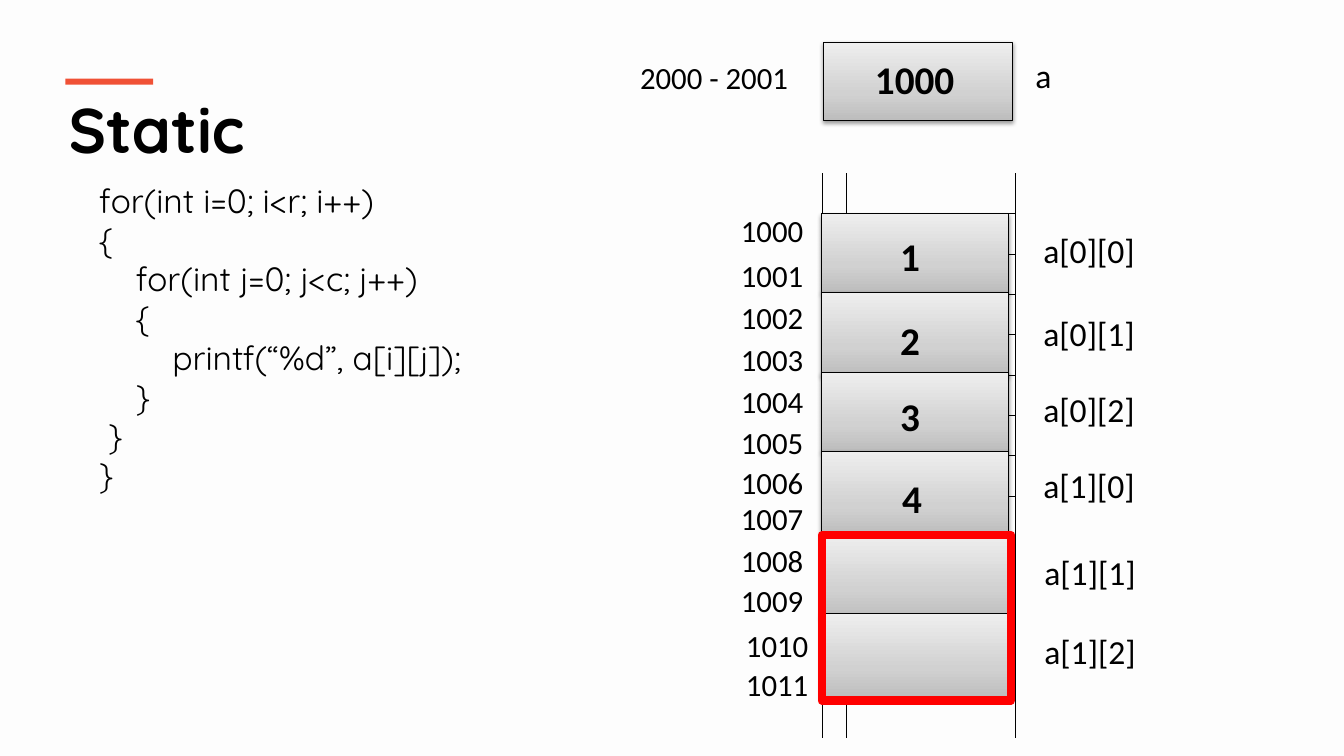
from lxml.etree import SubElement
from pptx import Presentation
from pptx.dml.color import RGBColor
from pptx.enum.shapes import MSO_SHAPE as Shape
from pptx.enum.text import MSO_ANCHOR as Anchor, MSO_AUTO_SIZE as AutoSize, PP_ALIGN as Align
from pptx.oxml.ns import qn
from pptx.util import Inches, Pt

BACKGROUND = RGBColor(0xFD, 0xFD, 0xFD)
BLACK = RGBColor(0, 0, 0)
ACCENT = RGBColor(0xF0, 0x51, 0x36)
RED = RGBColor(0xFF, 0, 0)
DARK_GRAY = RGBColor(0xBD, 0xBD, 0xBD)
MID_GRAY = RGBColor(0xD1, 0xD1, 0xD1)
LIGHT_GRAY = RGBColor(0xEE, 0xEE, 0xEE)
PLAIN_TABLE_STYLE = "{2D5ABB26-0587-4C30-8999-92F81FD0307C}"


def add_label(text, left, top, width, height, size, bold=False, wrap=False, font="Calibri"):
    box = slide.shapes.add_textbox(Inches(left), Inches(top), Inches(width), Inches(height))
    frame = box.text_frame
    frame.text = text
    frame.word_wrap = wrap
    for para in frame.paragraphs:
        for span in para.runs:
            span.font.name, span.font.size, span.font.bold = font, Pt(size), bold
            span.font.color.rgb = BLACK
    return frame


def add_memory_box(left, top, width, height):
    """Add a gray gradient box with a thin outline and a soft shadow below."""
    box = slide.shapes.add_shape(Shape.RECTANGLE, Inches(left), Inches(top),
                                 Inches(width), Inches(height))
    box.line.color.rgb = BLACK
    box.line.width = Pt(0.75)
    box.fill.gradient()
    box.fill.gradient_angle = 90
    properties = box._element.spPr
    stops = properties.find(qn("a:gradFill")).find(qn("a:gsLst"))
    for stop in list(stops):
        stops.remove(stop)
    for percent, color in ((0, DARK_GRAY), (35, MID_GRAY), (100, LIGHT_GRAY)):
        stop = SubElement(stops, qn("a:gs"), pos=str(percent * 1000))
        SubElement(stop, qn("a:srgbClr"), val=str(color))
    box.shadow.inherit = False
    shadow = SubElement(properties.find(qn("a:effectLst")), qn("a:outerShdw"),
                        blurRad=str(Pt(3.1)), dist=str(Pt(1.6)),
                        dir="5400000", rotWithShape="0")
    shadow_color = SubElement(shadow, qn("a:srgbClr"), val=str(BLACK))
    SubElement(shadow_color, qn("a:alpha"), val="38000")


deck = Presentation()
deck.slide_width, deck.slide_height = Inches(13.33), Inches(7.5)
slide = deck.slides.add_slide(deck.slide_layouts[5])
slide.background.fill.solid()
slide.background.fill.fore_color.rgb = BACKGROUND

# Title and accent bar
title = slide.shapes.title
title.left, title.top = Inches(0.58), Inches(0.84)
title.width, title.height = Inches(12.18), Inches(0.86)
title.text_frame.text = "Static"
title.text_frame.auto_size = AutoSize.NONE
title.text_frame.vertical_anchor = Anchor.MIDDLE
heading = title.text_frame.paragraphs[0]
heading.alignment = Align.LEFT
heading_font = heading.runs[0].font
heading_font.name, heading_font.size, heading_font.bold = "Quicksand", Pt(45), True
heading_font.color.rgb = BLACK

bar = slide.shapes.add_shape(Shape.RECTANGLE, Inches(0.65), Inches(0.78),
                             Inches(0.87), Inches(0.06))
bar.fill.solid()
bar.fill.fore_color.rgb = ACCENT
bar.line.fill.background()
bar.shadow.inherit = False

# Code
code = """   for(int i=0; i<r; i++)
   {
       for(int j=0; j<c; j++)
       {
           printf(“%d”, a[i][j]);
       }
    }
   }"""
code_frame = add_label(code, 0.61, 1.76, 12.14, 4.14, 24, wrap=True, font="Quicksand")
for line in code_frame.paragraphs:
    line.line_spacing = 0.97

# Memory strip: a ruled table with an open top and bottom
ROWS, COLUMNS = 14, 9
LAST = COLUMNS - 1
MERGED_ROWS = range(2, 6)
FULL_RULES = (1, 2, 3, 4, 5, 6, 13)
strip = slide.shapes.add_table(ROWS, COLUMNS, Inches(7.92), Inches(1.72),
                               Inches(2.08), Inches(5.6)).table
strip.first_row = strip.horz_banding = False
strip._tbl.tblPr.find(qn("a:tableStyleId")).text = PLAIN_TABLE_STYLE
for row in MERGED_ROWS:
    strip.cell(row, 1).merge(strip.cell(row, LAST))
for row in range(ROWS):
    for column in range(COLUMNS):
        cell = strip.cell(row, column)
        edge = column in (1, LAST)
        inside = column > 0
        borders = {
            "L": column == 1,
            "R": column in (0, LAST) or (column == 1 and row in MERGED_ROWS),
            "T": row > 0 and (edge or inside and row in FULL_RULES),
            "B": row < ROWS - 1 and (edge or inside and row + 1 in FULL_RULES),
        }
        for side, ruled in borders.items():
            if ruled:
                rule = SubElement(cell._tc.get_or_add_tcPr(), qn(f"a:ln{side}"), w=str(Pt(1)))
                rule_fill = SubElement(rule, qn("a:solidFill"))
                SubElement(rule_fill, qn("a:srgbClr"), val=str(BLACK))
        cell.fill.background()

# Pointer variable
add_memory_box(8.17, 0.42, 1.87, 0.78)
add_label("2000 - 2001", 6.25, 0.53, 1.75, 0.47, 22, wrap=True)
add_label("1000", 8.58, 0.5, 1, 0.57, 28, bold=True)
add_label("a", 10.17, 0.5, 0.36, 0.5, 24)

# Array elements: box top, box height, value, value left, value top, name, name left, name top
elements = [
    (2.12, 0.78, "1", 8.83, 2.26, "a[0][0]", 10.25, 2.23),
    (2.9, 0.83, "2", 8.83, 3.09, "a[0][1]", 10.25, 3.06),
    (3.7, 0.78, "3", 8.83, 3.84, "a[0][2]", 10.25, 3.81),
    (4.48, 0.83, "4", 8.85, 4.66, "a[1][0]", 10.25, 4.56),
    (5.31, 0.83, "", 0, 0, "a[1][1]", 10.26, 5.43),
    (6.09, 0.83, "", 0, 0, "a[1][2]", 10.26, 6.21),
]
for top, height, value, value_left, value_top, name, name_left, name_top in elements:
    add_memory_box(8.15, top, 1.85, height)
    if value:
        add_label(value, value_left, value_top, 0.4, 0.57, 28, bold=True)
    add_label(name, name_left, name_top, 1.12, 0.5, 24)

highlight = slide.shapes.add_shape(Shape.RECTANGLE, Inches(8.15), Inches(5.31),
                                   Inches(1.88), Inches(1.64))
highlight.fill.background()
highlight.line.color.rgb = RED
highlight.line.width = Pt(6)
highlight.shadow.inherit = False

# Byte addresses
address_tops = [2.05, 2.5, 2.91, 3.33, 3.75, 4.15, 4.55, 4.91, 5.33, 5.72, 6.17, 6.56]
for address, top in enumerate(address_tops, start=1000):
    add_label(str(address), 7.25 if address < 1010 else 7.3, top, 1.08, 0.47, 22, wrap=True)

deck.save("out.pptx")
